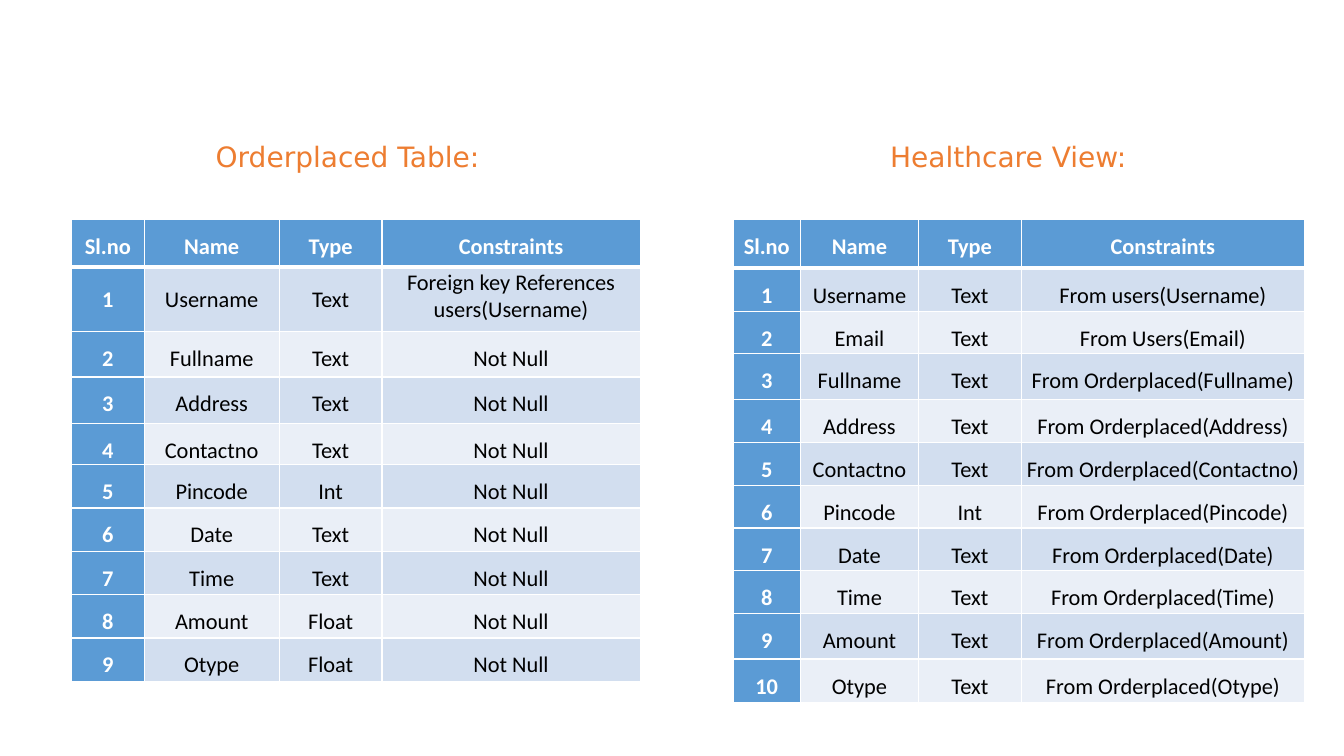
"""Build a slide that sets the Orderplaced table beside the Healthcare view."""
from dataclasses import dataclass

from lxml import etree
from pptx import Presentation, util as u
from pptx.dml.color import RGBColor
from pptx.enum import text
from pptx.oxml import ns

PX = 9144


@dataclass(frozen=True)
class Theme:
    accent: str = "5B9BD5"
    bands: tuple = ("D2DEEF", "EAEFF7")
    white: str = "FFFFFF"
    ink: str = "000000"
    heading: str = "ED7D31"
    heading_font: str = "DejaVu Sans"
    body_font: str = "Calibri"
    heading_size: int = 20
    body_size: int = 16
    spacing: float = 1.5
    rule: int = 1
    header_rule: int = 3


THEME = Theme()
HEADER = ("Sl.no", "Name", "Type", "Constraints")
ORDER_FIELDS = [
    ("Username", "Text", "Foreign key References users(Username)"),
    ("Fullname", "Text", "Not Null"),
    ("Address", "Text", "Not Null"),
    ("Contactno", "Text", "Not Null"),
    ("Pincode", "Int", "Not Null"),
    ("Date", "Text", "Not Null"),
    ("Time", "Text", "Not Null"),
    ("Amount", "Float", "Not Null"),
    ("Otype", "Float", "Not Null"),
]
ORDER_NAMES = [name for name, _, _ in ORDER_FIELDS[1:]]
VIEW_FIELDS = [
    ("Username", "Text", "From users(Username)"),
    ("Email", "Text", "From Users(Email)"),
] + [
    (name, "Int" if name == "Pincode" else "Text", f"From Orderplaced({name})")
    for name in ORDER_NAMES
]


def px(*lengths):
    """Turn lengths in px into EMU."""
    return [u.Emu(length * PX) for length in lengths]


def add_run(paragraph, wording, font, size, color, bold=False):
    """Add one styled run to a paragraph."""
    run = paragraph.add_run()
    run.text = wording
    run.font.name = font
    run.font.size = u.Pt(size)
    run.font.bold = bold
    run.font.color.rgb = RGBColor.from_string(color)


def add_heading(slide, wording, left, top, width, height):
    """Add a heading that rests on the bottom of its box."""
    frame = slide.shapes.add_textbox(*px(left, top, width, height)).text_frame
    frame.word_wrap = True
    frame.vertical_anchor = text.MSO_ANCHOR.BOTTOM
    line = frame.paragraphs[0]
    line.alignment = text.PP_ALIGN.JUSTIFY
    line.line_spacing = THEME.spacing
    add_run(line, wording, THEME.heading_font, THEME.heading_size, THEME.heading)


def add_borders(cell, top, bottom):
    """Draw white rules on the four sides of a cell."""
    properties = cell._tc.get_or_add_tcPr()
    sides = {"lnL": THEME.rule, "lnR": THEME.rule, "lnT": top, "lnB": bottom}
    for side, weight in sides.items():
        rule = etree.SubElement(properties, ns.qn(f"a:{side}"), w=str(u.Pt(weight)))
        fill = etree.SubElement(rule, ns.qn("a:solidFill"))
        etree.SubElement(fill, ns.qn("a:srgbClr"), val=THEME.white)


def fill_cell(cell, wording, row, column, inset, spacing):
    """Write and style one cell by its place in the grid."""
    is_label = row == 0 or column == 0
    add_borders(
        cell,
        THEME.header_rule if row == 1 else THEME.rule,
        THEME.header_rule if row == 0 else THEME.rule,
    )
    cell.fill.solid()
    background = THEME.accent if is_label else THEME.bands[(row - 1) % 2]
    cell.fill.fore_color.rgb = RGBColor.from_string(background)
    cell.margin_left, cell.margin_right, cell.margin_top, cell.margin_bottom = px(
        4, 4, inset, 0
    )
    line = cell.text_frame.paragraphs[0]
    line.alignment = text.PP_ALIGN.CENTER
    line.line_spacing = spacing
    color = THEME.white if is_label else THEME.ink
    add_run(line, wording, THEME.body_font, THEME.body_size, color, is_label)


def add_schema(slide, left, top, widths, heights, fields, tall_row=None):
    """Add a numbered schema table; a tall row holds a two-line constraint."""
    records = [HEADER] + [(str(n), *field) for n, field in enumerate(fields, 1)]
    schema = slide.shapes.add_table(
        len(records), len(HEADER), *px(left, top, sum(widths), sum(heights))
    ).table
    for column, width in zip(schema.columns, px(*widths)):
        column.width = width
    for band, height in zip(schema.rows, px(*heights)):
        band.height = height
    for row, record in enumerate(records):
        for column, wording in enumerate(record):
            inset, spacing = 0, THEME.spacing
            if row == tall_row:
                inset, spacing = (2, 1.0) if column == 3 else (5, THEME.spacing)
            fill_cell(schema.cell(row, column), wording, row, column, inset, spacing)


def main():
    """Build and save the slide."""
    deck = Presentation()
    deck.slide_width, deck.slide_height = u.Inches(13.33), u.Inches(7.5)
    slide = deck.slides.add_slide(deck.slide_layouts[6])
    add_heading(slide, "Orderplaced Table:", 204, 109, 299, 68)
    add_schema(
        slide, 71, 218, (72, 134, 102, 256),
        (47, 64, 45, 46, 41, *[43] * 5), ORDER_FIELDS, tall_row=1,
    )
    add_heading(slide, "Healthcare View:", 873, 116, 274, 61)
    add_schema(
        slide, 727, 218, (67, 117, 102, 281),
        (48, 43, 42, 45, 43, 43, 42, 42, 43, 45, 43), VIEW_FIELDS,
    )
    deck.save("out.pptx")


if __name__ == "__main__":
    main()
